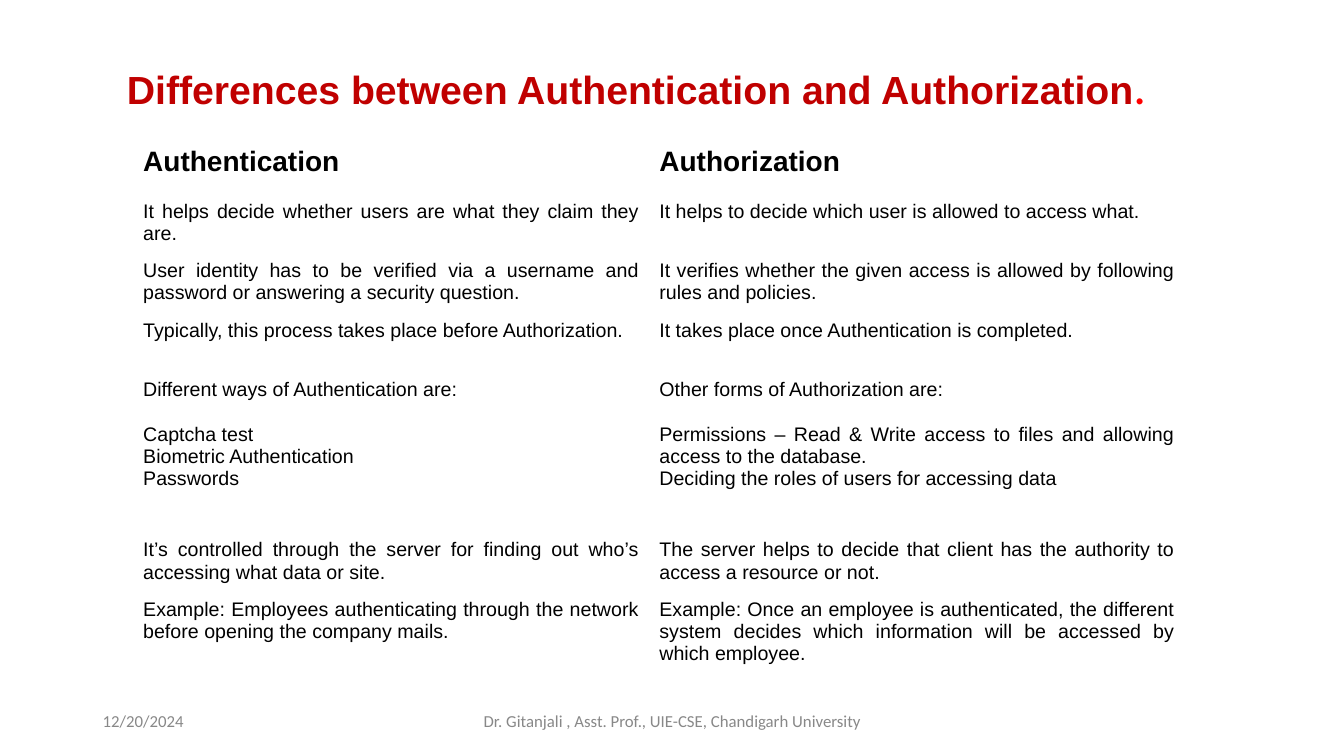
from pptx import Presentation
from pptx.dml.color import RGBColor
from pptx.enum.text import MSO_ANCHOR, PP_ALIGN
from pptx.util import Inches, Pt

COLORS = {"title": "C00000", "stop": "FF0000", "body": "000000", "footer": "888888"}
COLUMN_WIDTHS = [5.12, 5.31]
ROW_HEIGHTS = [0.54, 0.59, 0.59, 0.59, 1.59, 0.59, 0.84]
LIST_GAP = 16.1

# Each cell is a list of paragraphs.
COMPARISON = [
    (["Authentication"], ["Authorization"]),
    (["It helps decide whether users are what they claim they are."],
     ["It helps to decide which user is allowed to access what."]),
    (["User identity has to be verified via a username and password or answering a security question."],
     ["It verifies whether the given access is allowed by following rules and policies."]),
    (["Typically, this process takes place before Authorization."],
     ["It takes place once Authentication is completed."]),
    (["Different ways of Authentication are:",
      "Captcha test", "Biometric Authentication", "Passwords"],
     ["Other forms of Authorization are:",
      "Permissions – Read & Write access to files and allowing access to the database.",
      "Deciding the roles of users for accessing data"]),
    (["It’s controlled through the server for finding out who’s accessing what data or site."],
     ["The server helps to decide that client has the authority to access a resource or not."]),
    (["Example: Employees authenticating through the network before opening the company mails."],
     ["Example: Once an employee is authenticated, the different system decides which "
      "information will be accessed by which employee."]),
]


class SlideBuilder:
    def __init__(self, slide):
        self.slide = slide

    def style(self, font, name, size, color, bold=False):
        font.name = name
        font.size = Pt(size)
        font.bold = bold
        font.color.rgb = RGBColor.from_string(COLORS[color])

    def text_box(self, left, top, width, height):
        """Add a wrapped, vertically centred box and return its paragraph."""
        shape = self.slide.shapes.add_textbox(
            Inches(left), Inches(top), Inches(width), Inches(height))
        shape.text_frame.word_wrap = True
        shape.text_frame.vertical_anchor = MSO_ANCHOR.MIDDLE
        return shape.text_frame.paragraphs[0]

    def title(self, text, stop):
        paragraph = self.text_box(1.16, 0.54, 10.75, 0.67)
        paragraph.line_spacing = 0.9
        heading = paragraph.add_run()
        heading.text = text
        self.style(heading.font, "Arial", 28, "title", bold=True)
        full_stop = paragraph.add_run()
        full_stop.text = stop
        self.style(full_stop.font, "Calibri", 36, "stop")

    def footer(self, text, left, width, alignment):
        paragraph = self.text_box(left, 6.95, width, 0.4)
        paragraph.text = text
        paragraph.alignment = alignment
        self.style(paragraph.font, "Calibri", 12, "footer")

    def cell(self, cell, lines, is_header):
        cell.fill.background()
        cell.text = "\n".join(lines)
        for index, paragraph in enumerate(cell.text_frame.paragraphs):
            paragraph.alignment = PP_ALIGN.JUSTIFY
            if index == 1:
                paragraph.space_before = Pt(LIST_GAP)
            self.style(paragraph.font, "Arial", 20 if is_header else 14, "body", is_header)

    def table(self, rows):
        table = self.slide.shapes.add_table(
            len(rows), len(COLUMN_WIDTHS), Inches(1.32), Inches(1.4),
            Inches(sum(COLUMN_WIDTHS)), Inches(sum(ROW_HEIGHTS))).table
        table.first_row = False
        table.horz_banding = False
        for column, width in zip(table.columns, COLUMN_WIDTHS):
            column.width = Inches(width)
        for row_index, (row, height, texts) in enumerate(zip(table.rows, ROW_HEIGHTS, rows)):
            row.height = Inches(height)
            for cell, lines in zip(row.cells, texts):
                self.cell(cell, lines, is_header=row_index == 0)


def main():
    presentation = Presentation()
    presentation.slide_width = Inches(13.33)
    presentation.slide_height = Inches(7.5)
    builder = SlideBuilder(presentation.slides.add_slide(presentation.slide_layouts[6]))
    builder.title("Differences between Authentication and Authorization", ".")
    builder.table(COMPARISON)
    builder.footer("12/20/2024", 0.92, 3, PP_ALIGN.LEFT)
    builder.footer("Dr. Gitanjali , Asst. Prof., UIE-CSE, Chandigarh University",
                   4.42, 4.5, PP_ALIGN.CENTER)
    presentation.save("out.pptx")


if __name__ == "__main__":
    main()
